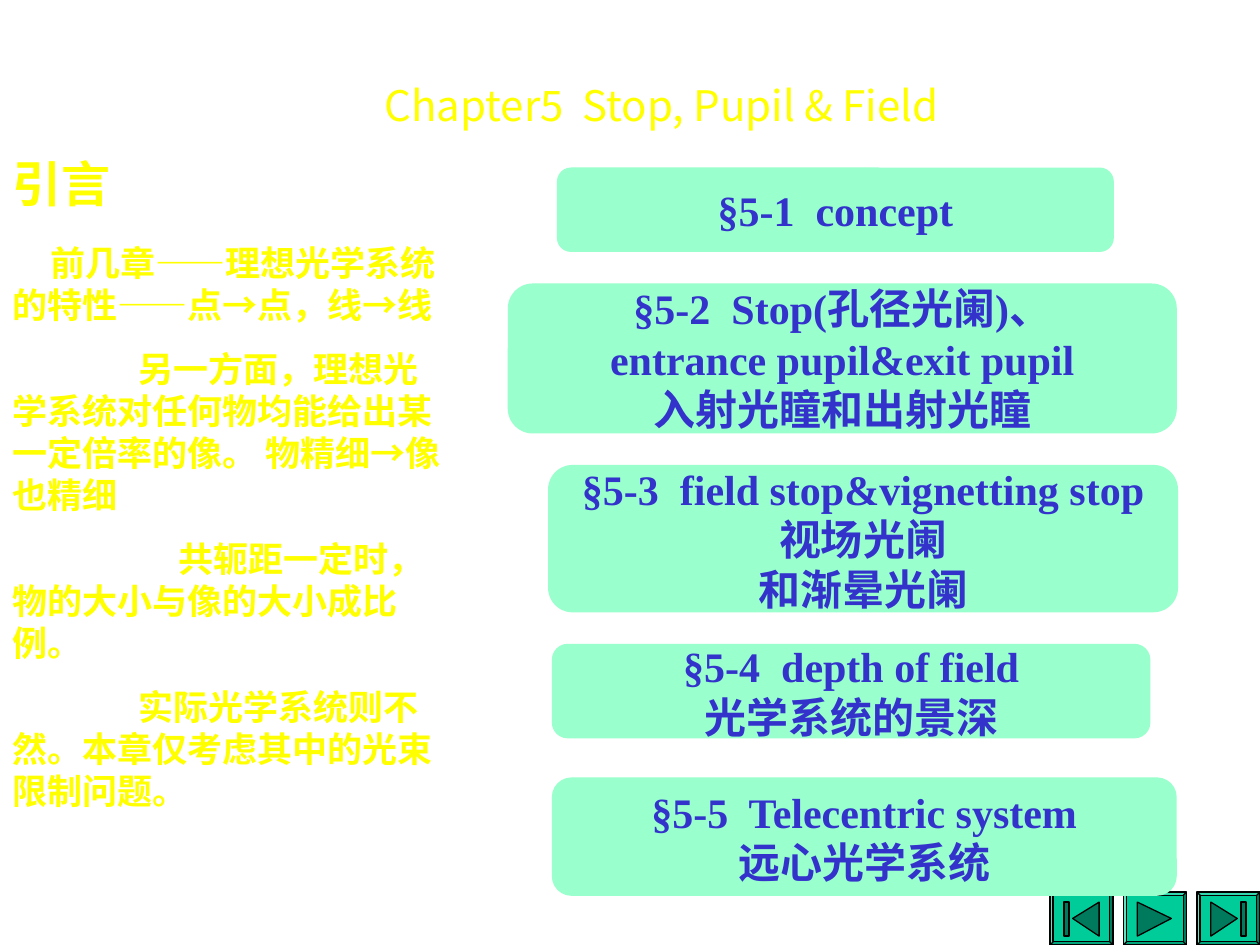
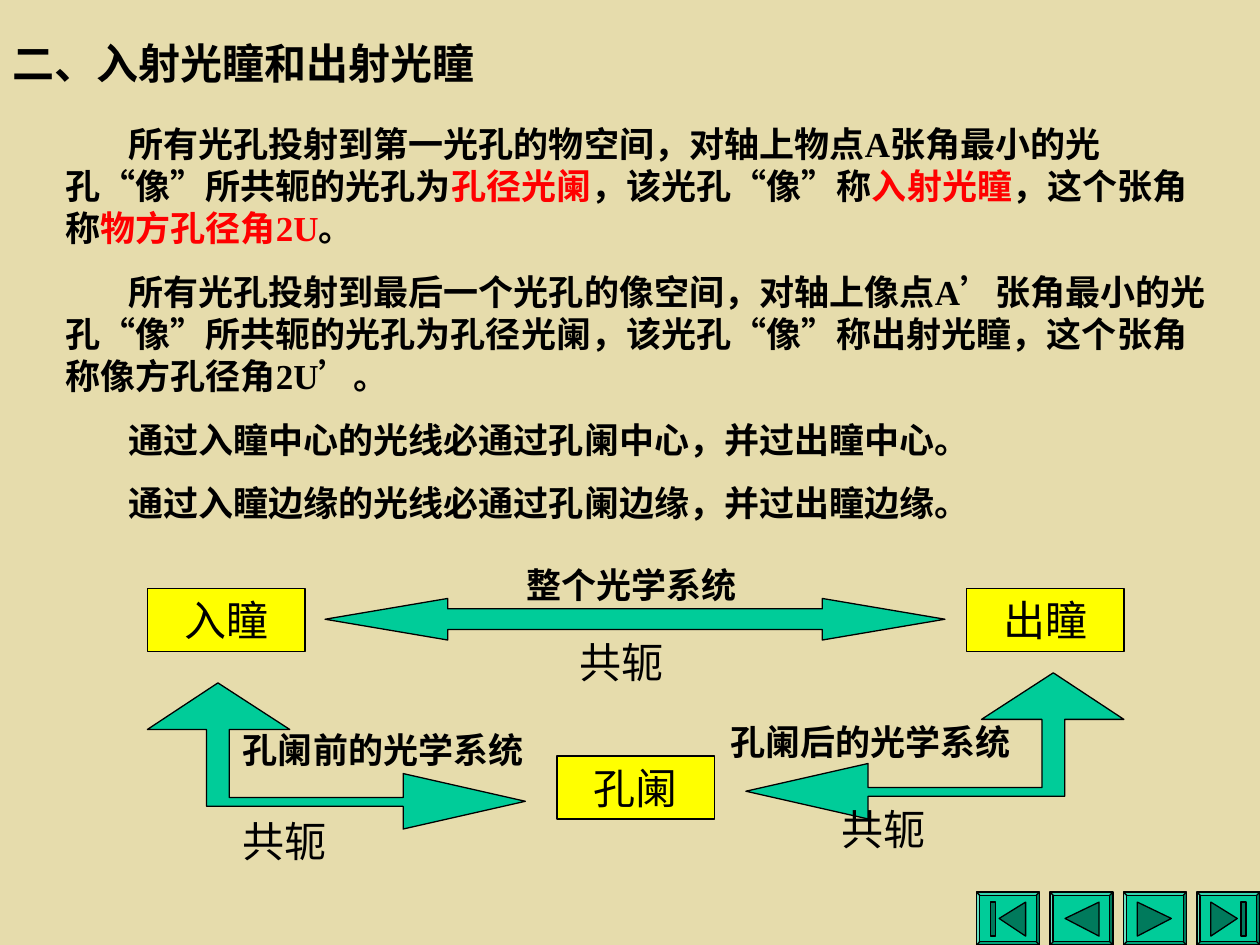
from lxml.etree import SubElement
from pptx import Presentation
from pptx.dml.color import RGBColor
from pptx.enum.shapes import MSO_SHAPE
from pptx.enum.text import MSO_ANCHOR, PP_ALIGN
from pptx.oxml.ns import qn
from pptx.util import Inches, Pt

YELLOW, BLACK, RED = "FFFF00", "000000", "FF0000"
GREEN, DARK_GREEN, MINT, BLUE = "00CC99", "007A5C", "99FFCC", "3333CC"
SERIF, SANS = "Times New Roman", "Noto Sans CJK SC"


def paint(shape, fill, line=None):
    shape.shadow.inherit = False
    shape.fill.solid()
    shape.fill.fore_color.rgb = RGBColor.from_string(fill)
    if line:
        shape.line.color.rgb = RGBColor.from_string(line)
        shape.line.width = Pt(0.75)
    else:
        shape.line.fill.background()


def write(shape, lines, size, color=BLACK, bold=False, align=PP_ALIGN.LEFT,
          wrap=True, space=0, indents=None, font_name=SERIF):
    frame = shape.text_frame
    frame.word_wrap = wrap
    for index, line in enumerate(lines):
        paragraph = frame.paragraphs[0] if index == 0 else frame.add_paragraph()
        paragraph.alignment = align
        if font_name == SERIF:
            paragraph.line_spacing = Pt(size * 1.2)
        if index and space:
            paragraph.space_before = Pt(space)
        properties = paragraph._p.get_or_add_pPr()
        properties.set("hangingPunct", "0")
        if indents:
            properties.set("indent", str(Inches(indents[index])))
        font = paragraph.font
        font.size, font.bold = Pt(size), bold
        font.color.rgb = RGBColor.from_string(color)
        font.name = font_name
        SubElement(properties.find(qn("a:defRPr")), qn("a:ea"), typeface=SANS)
        for position, part in enumerate(line.split("*")):
            run = paragraph.add_run()
            run.text = part
            if position % 2:
                run.font.color.rgb = RGBColor.from_string(RED)


presentation = Presentation()
presentation.slide_width = Inches(10)
presentation.slide_height = Inches(7.5)
contents_slide, pupil_slide = [
    presentation.slides.add_slide(presentation.slide_layouts[6]) for _ in range(2)]
pupil_slide.background.fill.solid()
pupil_slide.background.fill.fore_color.rgb = RGBColor.from_string("E6DCAC")

title = contents_slide.shapes.add_textbox(Inches(1.75), Inches(0.58), Inches(7), Inches(0.5))
write(title, ["Chapter5  Stop, Pupil & Field"], 24, YELLOW, align=PP_ALIGN.CENTER, font_name=SANS)

heading = contents_slide.shapes.add_textbox(Inches(0), Inches(1.17), Inches(3.67), Inches(0.6))
write(heading, ["引言"], 28, YELLOW, bold=True)
introduction = contents_slide.shapes.add_textbox(
    Inches(0), Inches(1.87), Inches(3.67), Inches(4.6))
write(introduction, [
    "前几章——理想光学系统的特性——点→点，线→线",
    "另一方面，理想光学系统对任何物均能给出某一定倍率的像。 物精细→像也精细",
    "共轭距一定时，物的大小与像的大小成比例。",
    "实际光学系统则不然。本章仅考虑其中的光束限制问题。",
], 20, YELLOW, bold=True, space=12.5, indents=[0.3, 1, 1.32, 1])

first_icon = [[(0.18, 0.21), (0.39, 0.08), (0.39, 0.35)],
              [(0.11, 0.08), (0.15, 0.08), (0.15, 0.35), (0.11, 0.35)]]
previous_icon = [[(0.12, 0.21), (0.39, 0.08), (0.39, 0.35)]]
next_icon, last_icon = [
    [[(0.5 - x, y) for x, y in outline] for outline in icon]
    for icon in (previous_icon, first_icon)]

for slide, icons in [
    (contents_slide, [first_icon, next_icon, last_icon]),
    (pupil_slide, [first_icon, previous_icon, next_icon, last_icon]),
]:
    for index, icon in enumerate(icons):
        left = 9.5 - (len(icons) - 1 - index) * 1.75 / 3
        button = slide.shapes.add_shape(
            MSO_SHAPE.BEVEL, Inches(left), Inches(7.08), Inches(0.5), Inches(0.42))
        button.adjustments[0] = 0.06
        paint(button, GREEN, BLACK)
        builder = None
        for outline in icon:
            points = [(Inches(left + x), Inches(7.08 + y)) for x, y in outline]
            if builder is None:
                builder = slide.shapes.build_freeform(*points[0])
            else:
                builder.move_to(*points[0])
            builder.add_line_segments(points[1:])
        paint(builder.convert_to_shape(), DARK_GREEN, BLACK)

for left, top, width, height, lines in [
    (4.42, 1.33, 4.42, 0.67, ["§5-1  concept"]),
    (4.03, 2.25, 5.31, 1.19,
     ["§5-2  Stop(孔径光阑)、", "entrance pupil&exit pupil", "入射光瞳和出射光瞳"]),
    (4.35, 3.69, 5, 1.17, ["§5-3  field stop&vignetting stop", "视场光阑", "和渐晕光阑"]),
    (4.38, 5.11, 4.75, 0.75, ["§5-4  depth of field", "光学系统的景深"]),
    (4.38, 6.17, 4.96, 0.94, ["§5-5  Telecentric system", "远心光学系统"]),
]:
    section = contents_slide.shapes.add_shape(
        MSO_SHAPE.ROUNDED_RECTANGLE, Inches(left), Inches(top), Inches(width), Inches(height))
    paint(section, MINT)
    section.text_frame.vertical_anchor = MSO_ANCHOR.MIDDLE
    write(section, lines, 24, BLUE, bold=True, align=PP_ALIGN.CENTER, wrap=False)

heading = pupil_slide.shapes.add_textbox(Inches(0), Inches(0.25), Inches(4.25), Inches(0.5))
write(heading, ["二、入射光瞳和出射光瞳"], 24, bold=True)

definitions = pupil_slide.shapes.add_textbox(
    Inches(0.42), Inches(0.92), Inches(9.25), Inches(3.29))
write(definitions, [
    "所有光孔投射到第一光孔的物空间，对轴上物点A张角最小的光孔“像”所共轭的光孔为"
    "*孔径光阑*，该光孔“像”称*入射光瞳*，这个张角称*物方孔径角2U*。",
    "所有光孔投射到最后一个光孔的像空间，对轴上像点A’张角最小的光孔“像”所共轭的光孔为"
    "孔径光阑，该光孔“像”称出射光瞳，这个张角称像方孔径角2U’。",
    "通过入瞳中心的光线必通过孔阑中心，并过出瞳中心。",
    "通过入瞳边缘的光线必通过孔阑边缘，并过出瞳边缘。",
], 20, bold=True, space=12.5, indents=[0.5] * 4)

for left, top, name in [(1.17, 4.67, "入瞳"), (4.42, 6, "孔阑"), (7.67, 4.67, "出瞳")]:
    box = pupil_slide.shapes.add_shape(
        MSO_SHAPE.RECTANGLE, Inches(left), Inches(top), Inches(1.25), Inches(0.5))
    paint(box, YELLOW, BLACK)
    box.text_frame.vertical_anchor = MSO_ANCHOR.MIDDLE
    write(box, [name], 24, align=PP_ALIGN.CENTER, wrap=False)

front_arrow = [(1.73, 5.42), (2.3, 5.79), (1.82, 5.79), (1.82, 6.33), (3.2, 6.33), (3.2, 6.14),
               (4.17, 6.36), (3.2, 6.58), (3.2, 6.4), (1.64, 6.4), (1.64, 5.79), (1.17, 5.79)]
rear_arrow = [(10.09 - x, y - 0.08) for x, y in front_arrow]
for outline in (front_arrow, rear_arrow):
    points = [(Inches(x), Inches(y)) for x, y in outline]
    builder = pupil_slide.shapes.build_freeform(*points[0])
    builder.add_line_segments(points[1:])
    paint(builder.convert_to_shape(), GREEN, BLACK)

system_arrow = pupil_slide.shapes.add_shape(
    MSO_SHAPE.LEFT_RIGHT_ARROW, Inches(2.58), Inches(4.75), Inches(4.92), Inches(0.33))
system_arrow.adjustments[1] = 2.95
paint(system_arrow, GREEN, BLACK)

for left, top, width, name in [
    (1.83, 5.73, 2.5, "孔阑前的光学系统"),
    (5.7, 5.67, 2.5, "孔阑后的光学系统"),
    (4.08, 4.42, 2.25, "整个光学系统"),
]:
    label = pupil_slide.shapes.add_textbox(Inches(left), Inches(top), Inches(width), Inches(0.44))
    write(label, [name], 20, bold=True)

for left, top in [(1.83, 6.42), (6.58, 6.33), (4.5, 5)]:
    label = pupil_slide.shapes.add_textbox(Inches(left), Inches(top), Inches(0.92), Inches(0.5))
    write(label, ["共轭"], 24)

presentation.save("out.pptx")
